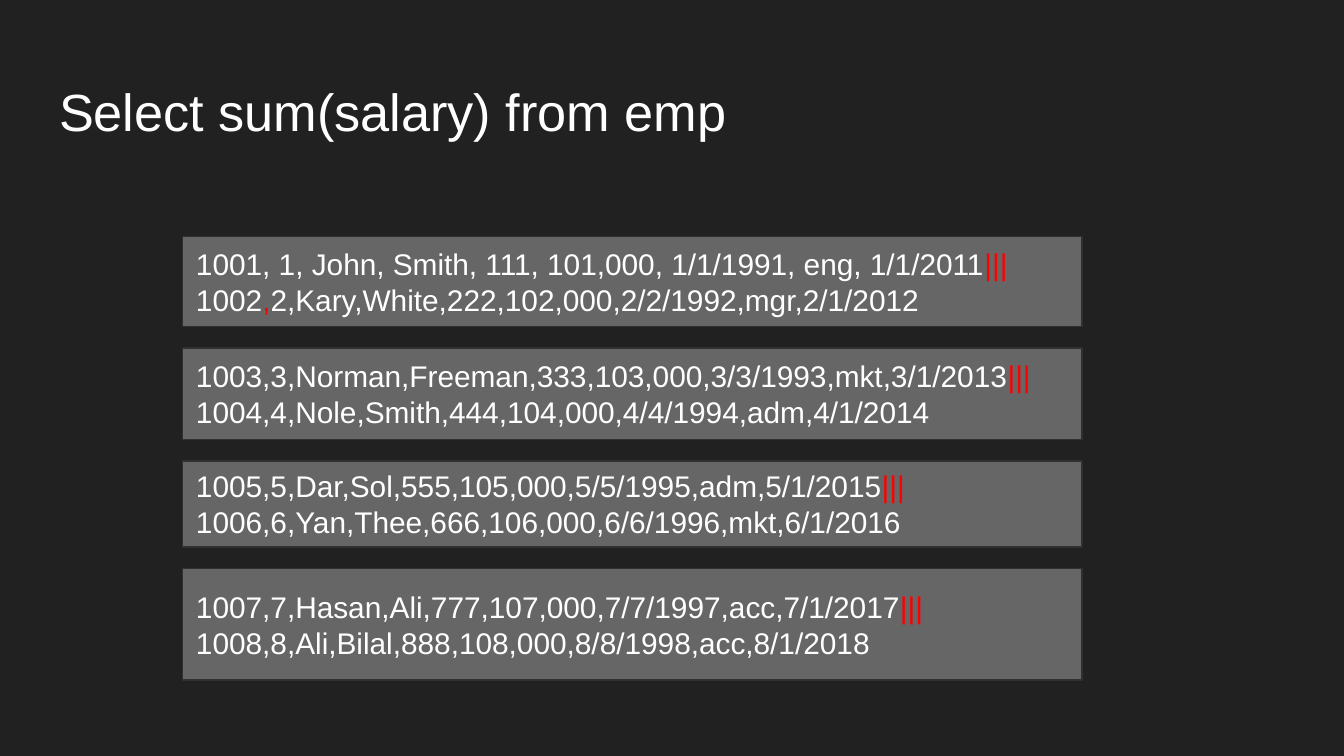
"""Build a slide showing employee rows stored in four blocks."""
import pptx
import pptx.util
import pptx.dml.color
import pptx.enum.shapes
import pptx.enum.text

COLORS = {"back": "212121", "block": "666666", "border": "303030",
          "text": "FFFFFF", "mark": "FF0000"}
BLOCKS = [
    (1.76, 0.67, [[("1001, 1, John, Smith, 111, 101,000, 1/1/1991, eng, 1/1/2011", "text"), ("|||", "mark")],
                  [("1002", "text"), (",", "mark"),
                   ("2,Kary,White,222,102,000,2/2/1992,mgr,2/1/2012", "text")]]),
    (2.59, 0.68, [[("1003,3,Norman,Freeman,333,103,000,3/3/1993,mkt,3/1/2013", "text"), ("|||", "mark")],
                  [("1004,4,Nole,Smith,444,104,000,4/4/1994,adm,4/1/2014", "text")]]),
    (3.43, 0.64, [[("1005,5,Dar,Sol,555,105,000,5/5/1995,adm,5/1/2015", "text"), ("|||", "mark")],
                  [("1006,6,Yan,Thee,666,106,000,6/6/1996,mkt,6/1/2016", "text")]]),
    (4.23, 0.83, [[("1007,7,Hasan,Ali,777,107,000,7/7/1997,acc,7/1/2017", "text"), ("|||", "mark")],
                  [("1008,8,Ali,Bilal,888,108,000,8/8/1998,acc,8/1/2018", "text")]]),
]
BLOCK_LEFT, BLOCK_WIDTH = 1.36, 6.69
INSET = pptx.util.Inches(0.1)


def rgb(name):
    return pptx.dml.color.RGBColor.from_string(COLORS[name])


def style(tf, size, anchor):
    tf.word_wrap = True
    tf.vertical_anchor = anchor
    tf.margin_left = tf.margin_right = tf.margin_top = tf.margin_bottom = INSET
    for p in tf.paragraphs:
        p.alignment = pptx.enum.text.PP_ALIGN.LEFT
        p.line_spacing = 1.0
        p.space_before = pptx.util.Pt(0)
        for r in p.runs:
            r.font.name = "Arial"
            r.font.size = pptx.util.Pt(size)


prs = pptx.Presentation()
prs.slide_width = pptx.util.Inches(10)
prs.slide_height = prs.slide_width * 9 // 16
s = prs.slides.add_slide(prs.slide_layouts[5])
s.background.fill.solid()
s.background.fill.fore_color.rgb = rgb("back")

title = s.shapes.title
title.left, title.top, title.width, title.height = map(pptx.util.Inches, (0.34, 0.49, 9.32, 0.63))
title.text_frame.text = "Select sum(salary) from emp"
style(title.text_frame, 28, pptx.enum.text.MSO_ANCHOR.TOP)
title.text_frame.paragraphs[0].runs[0].font.color.rgb = rgb("text")

for top, height, rows in BLOCKS:
    box = map(pptx.util.Inches, (BLOCK_LEFT, top, BLOCK_WIDTH, height))
    sp = s.shapes.add_shape(pptx.enum.shapes.MSO_SHAPE.RECTANGLE, *box)
    sp.shadow.inherit = False
    sp.fill.solid()
    sp.fill.fore_color.rgb = rgb("block")
    sp.line.color.rgb = rgb("border")
    sp.line.width = pptx.util.Pt(0.75)
    tf = sp.text_frame
    for i, row in enumerate(rows):
        p = tf.add_paragraph() if i else tf.paragraphs[0]
        for text, color in row:
            r = p.add_run()
            r.text = text
            r.font.color.rgb = rgb(color)
    style(tf, 16, pptx.enum.text.MSO_ANCHOR.MIDDLE)

prs.save("out.pptx")
